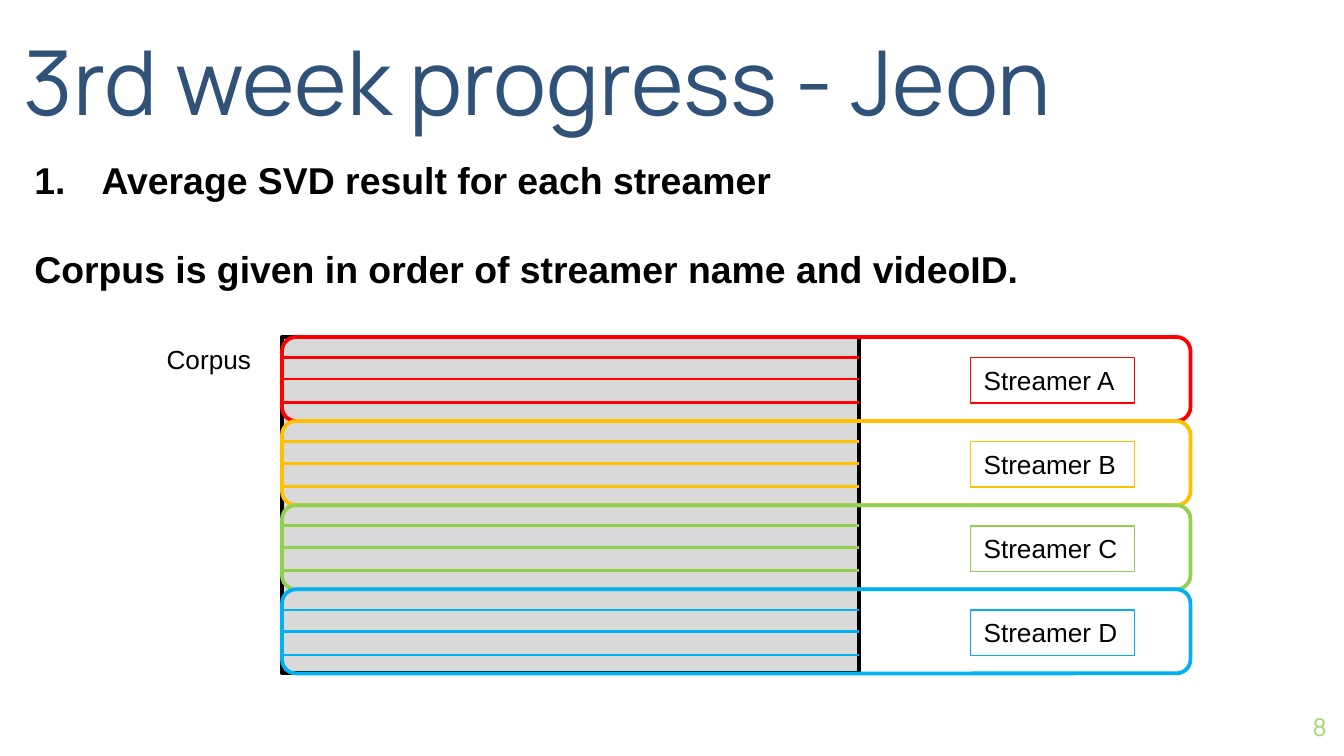
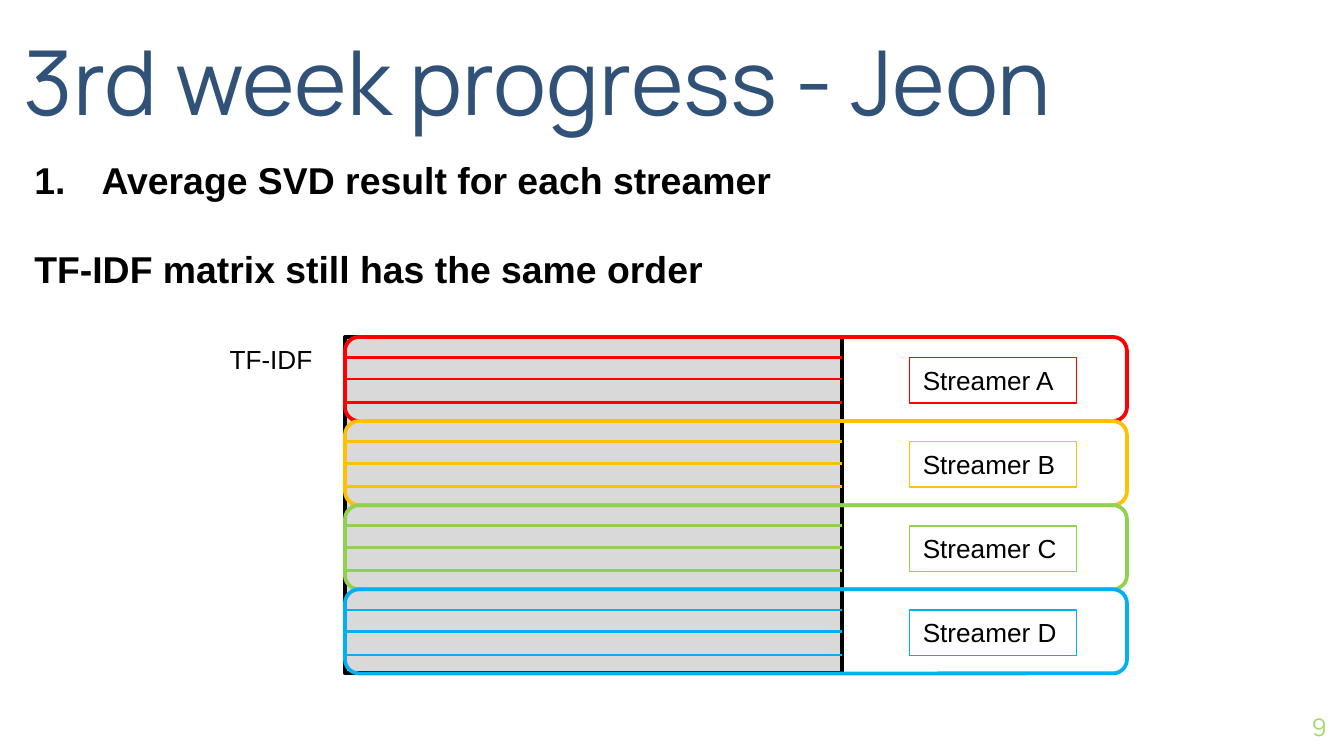
from lxml import etree
from pptx import Presentation
from pptx import util as u
from pptx.dml.color import RGBColor
from pptx.enum import shapes, text
from pptx.oxml.ns import qn

INK = {
    "title": "305178", "text": "000000", "page": "A7D86D", "fill": "D9D9D9",
    "A": "FF0000", "B": "FFC000", "C": "92D050", "D": "00B0F0",
}
TOP = 6.37
BAND = 1.59
ROWS = (0.39, BAND / 2, 1.24)


def tint(name):
    return RGBColor.from_string(INK[name])


def style(para, size, font="Arial", ink="text", bold=False):
    for run in para.runs:
        run.font.size = u.Pt(size)
        run.font.name = font
        run.font.bold = bold
        run.font.color.rgb = tint(ink)


def write(host, words, box, size, wrap=True, pad=True, **look):
    item = host.add_textbox(*map(u.Cm, box))
    frame = item.text_frame
    frame.text = words
    frame.word_wrap = wrap
    if not pad:
        frame.margin_left = frame.margin_right = 0
        frame.margin_top = frame.margin_bottom = 0
    for para in frame.paragraphs:
        style(para, size, **look)
    return item


def edge(item, ink, width):
    item.line.color.rgb = tint(ink)
    item.line.width = u.Pt(width)


def draw(host, kind, box, ink, fill=None):
    item = host.add_shape(kind, *map(u.Cm, box))
    item.shadow.inherit = False
    if fill:
        item.fill.solid()
        item.fill.fore_color.rgb = tint(fill)
    else:
        item.fill.background()
    edge(item, ink, 2)
    return item


def rule(host, left, right, y, ink):
    line = host.add_connector(
        shapes.MSO_CONNECTOR.STRAIGHT, u.Cm(left), u.Cm(y), u.Cm(right), u.Cm(y))
    edge(line, ink, 1.5)
    etree.SubElement(line._element.spPr, qn("a:effectLst"))
    return line


def number(para):
    props = para._p.get_or_add_pPr()
    props.set("marL", str(u.Cm(1.27)))
    props.set("indent", str(-u.Cm(1.27)))
    ink = etree.SubElement(etree.SubElement(props, qn("a:buClr")), qn("a:srgbClr"))
    ink.set("val", INK["text"])
    etree.SubElement(props, qn("a:buFont")).set("typeface", "Arial")
    etree.SubElement(props, qn("a:buAutoNum")).set("type", "arabicPeriod")


def frame(deck, page, note):
    host = deck.slides.add_slide(deck.slide_layouts[6]).shapes
    foot = write(host, page, (23.55, 13.19, 1.52, 1.09), 13,
                 pad=False, font="Manrope", ink="page")
    foot.text_frame.vertical_anchor = text.MSO_ANCHOR.MIDDLE
    foot.text_frame.paragraphs[0].alignment = text.PP_ALIGN.RIGHT
    body = write(host, "Average SVD result for each streamer\n" + note,
                 (0.4, 2.84, 24.59, 3.25), 20, bold=True)
    first, last = body.text_frame.paragraphs
    number(first)
    last.space_before = u.Pt(24)
    title = write(host, "3rd week progress - Jeon", (0.45, 0.14, 21.51, 2.39), 48,
                  pad=False, font="Manrope", ink="title")
    title.text_frame.vertical_anchor = text.MSO_ANCHOR.BOTTOM
    return host


def label(host, words, box, wrap=False):
    item = write(host, words, box, 14, wrap)
    item.text_frame.auto_size = text.MSO_AUTO_SIZE.SHAPE_TO_FIT_TEXT
    return item


def matrix(host, name, left, wide, span, tag, tab):
    group = host.add_group_shape().shapes
    names = "ABCD"
    draw(group, shapes.MSO_SHAPE.RECTANGLE,
         (left, TOP, wide, BAND * len(names)), "text", "fill")
    for i, key in enumerate(names):
        y = TOP + i * BAND
        band = draw(group, shapes.MSO_SHAPE.ROUNDED_RECTANGLE,
                    (left, y, span, BAND), key)
        chip = label(group, "Streamer " + key, (tag, y + ROWS[0], tab, 0.86), True)
        edge(chip, key, 0.75)
        lines = [rule(group, left, left + wide, y + gap, key) for gap in ROWS]
        lines[1].begin_connect(band, 1)
    label(group, name, (left - 2.43, TOP, 2.1, 0.86))


def main():
    deck = Presentation()
    deck.slide_width = u.Cm(25.4)
    deck.slide_height = u.Cm(14.29)
    host = frame(deck, "8", "Corpus is given in order of streamer name and videoID.")
    matrix(host, "Corpus", 5.33, 10.9, 17.17, 18.34, 3.1)
    host = frame(deck, "9", "TF-IDF matrix still has the same order")
    matrix(host, "TF-IDF", 6.52, 9.4, 14.78, 17.19, 3.16)
    deck.save("out.pptx")


if __name__ == "__main__":
    main()
